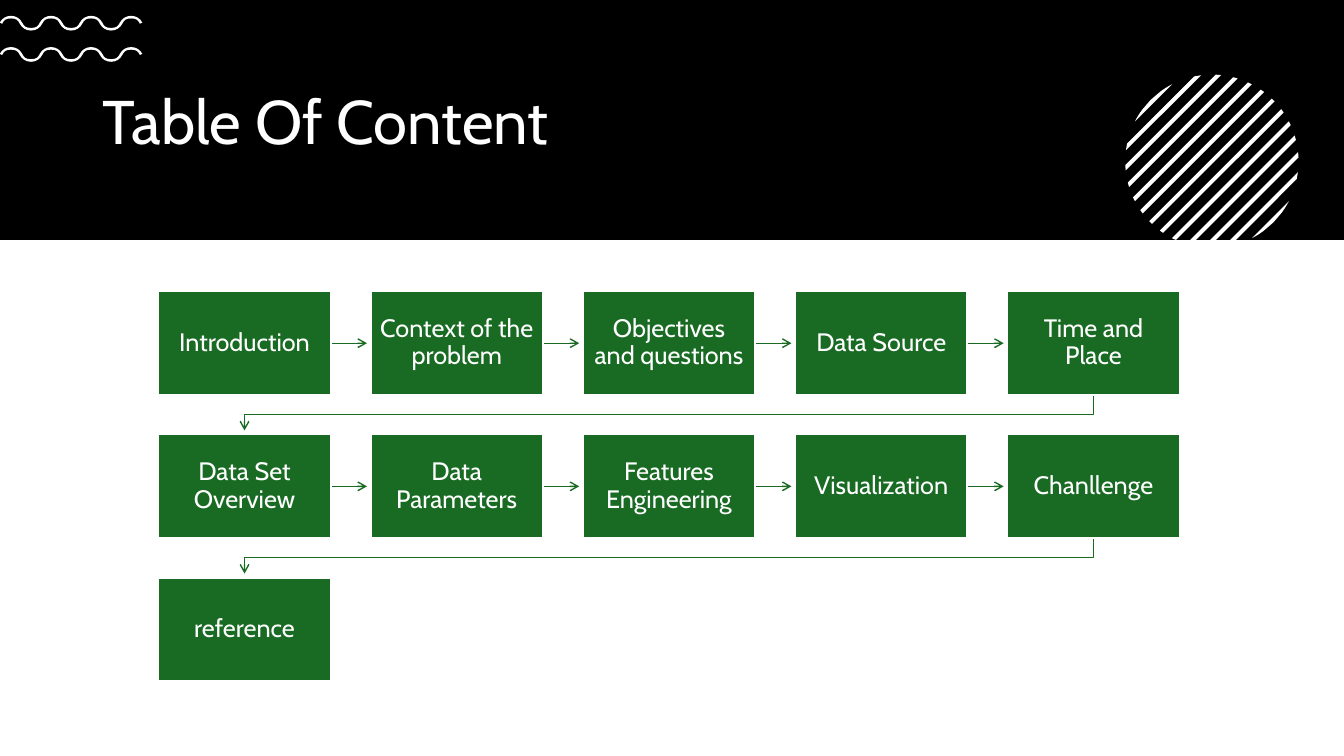
import math

import pptx
import pptx.dml.color
import pptx.enum.shapes
import pptx.enum.text
import pptx.oxml
import pptx.oxml.ns
import pptx.util

Inches = pptx.util.Inches
Pt = pptx.util.Pt
COLOURS = {
    name: pptx.dml.color.RGBColor.from_string(value)
    for name, value in {"black": "000000", "white": "FFFFFF", "green": "196B24"}.items()
}
RECTANGLE = pptx.enum.shapes.MSO_SHAPE.RECTANGLE
MIDDLE = pptx.enum.text.MSO_ANCHOR.MIDDLE
NAMESPACE = pptx.oxml.ns.nsdecls("a")

deck = pptx.Presentation()
deck.slide_width = Inches(13.33)
deck.slide_height = Inches(7.5)
page = deck.slides.add_slide(deck.slide_layouts[6])


def draw_outline(points, closed=True):
    corners = [(Inches(x), Inches(y)) for x, y in points]
    builder = page.shapes.build_freeform(*corners[0])
    builder.add_line_segments(corners[1:], close=closed)
    outline = builder.convert_to_shape()
    outline.shadow.inherit = False
    if closed:
        outline.fill.solid()
        outline.fill.fore_color.rgb = COLOURS["white"]
        outline.line.fill.background()
    else:
        outline.fill.background()
    return outline


def style_arrow(arrow):
    arrow.line.color.rgb = COLOURS["green"]
    arrow.line.width = Pt(1)
    arrow_line = arrow.line._get_or_add_ln()
    arrow_line.append(pptx.oxml.parse_xml(f'<a:tailEnd {NAMESPACE} type="arrow"/>'))


band_height = 2.38
band = page.shapes.add_shape(RECTANGLE, 0, 0, deck.slide_width, Inches(band_height))
band.shadow.inherit = False
band.fill.solid()
band.fill.fore_color.rgb = COLOURS["black"]
band.line.fill.background()

title = page.shapes.add_textbox(Inches(0.92), Inches(0.62), Inches(11.5), Inches(1.23))
title.text_frame.word_wrap = True
title.text_frame.vertical_anchor = MIDDLE
para = title.text_frame.paragraphs[0]
para.text = "Table Of Content"
para.line_spacing = 0.9
para.font.size = Pt(44)
para.font.name = "Cabin"
para.font.color.rgb = COLOURS["white"]

wave_arcs = 14
wave_height = 0.06
half_width = 0.013
wave_tangents = [(0.02, -0.04), (0.05, 0), (0.02, 0.04), (0.05, 0)]
for wave_middle in (0.54, 0.23):
    edges = []
    for side in (1, -1):
        edge = []
        for node in range(wave_arcs + 1):
            run, rise = wave_tangents[node % 4]
            length = math.hypot(run, rise)
            x = 0.01 + 1.39 * node / wave_arcs + side * half_width * rise / length
            y = wave_middle - wave_height * (0, 1, 0, -1)[node % 4]
            y -= side * half_width * run / length
            edge += [(x - run, y - rise), (x, y), (x + run, y + rise)]
        edges.append(edge[1:-1])
    wave = draw_outline(edges[0] + edges[1][::-1])
    segments = wave._element.findall(".//" + pptx.oxml.ns.qn("a:lnTo"))
    edge_segments = 3 * wave_arcs
    for edge_start in (0, edge_segments + 1):
        for start in range(edge_start, edge_start + edge_segments, 3):
            curve = pptx.oxml.parse_xml(f"<a:cubicBezTo {NAMESPACE}/>")
            segments[start].addprevious(curve)
            for segment in segments[start:start + 3]:
                curve.append(segment[0])
                segment.getparent().remove(segment)

centre_x, centre_y, radius = 12.02, 1.6, 0.86
stripe_gap, stripe_width = 0.14, 0.04
for stripe in range(-6, 7):
    upper_end, lower_end = [], []
    stripe_steps = 4 if abs(stripe) == 6 else 1
    for step in range(stripe_steps + 1):
        offset = stripe * stripe_gap + stripe_width * (step / stripe_steps - 0.5)
        offset = max(-radius, min(radius, offset))
        half_chord = math.sqrt(radius**2 - offset**2)
        right = centre_x + (offset + half_chord) / math.sqrt(2)
        top = centre_y + (offset - half_chord) / math.sqrt(2)
        bottom = min(band_height, centre_y + (offset + half_chord) / math.sqrt(2))
        upper_end.append((right, top))
        lower_end.append((right + top - bottom, bottom))
    draw_outline(upper_end + lower_end[::-1])

topics = [
    "Introduction",
    "Context of the problem",
    "Objectives and questions",
    "Data Source",
    "Time and Place",
    "Data Set Overview",
    "Data Parameters",
    "Features Engineering",
    "Visualization",
    "Chanllenge",
    "reference",
]
columns = 5
first_left, last_left, first_top = 1.57, 9.99, 2.89
box_width, box_height = 1.71, 1.03
column_step = (last_left - first_left) / (columns - 1)
row_step = 1.42
first_middle = first_left + box_width / 2

for index, topic in enumerate(topics):
    row, column = divmod(index, columns)
    left = first_left + column * column_step
    top = first_top + row * row_step
    right, bottom = left + box_width, top + box_height
    arrow = None
    if column == columns - 1:
        box_middle = left + box_width / 2
        turn = bottom + 0.19
        style_arrow(draw_outline([
            (box_middle, bottom),
            (box_middle, turn),
            (first_middle, turn),
            (first_middle, bottom + 0.35),
        ], closed=False))
    elif index < len(topics) - 1:
        level = Inches(top + box_height / 2)
        arrow = page.shapes.add_connector(
            pptx.enum.shapes.MSO_CONNECTOR.STRAIGHT,
            Inches(right), level, Inches(right + 0.36), level,
        )
        style_arrow(arrow)
        arrow._element.spPr.append(pptx.oxml.parse_xml(f"<a:effectLst {NAMESPACE}/>"))

    box = page.shapes.add_shape(
        RECTANGLE, Inches(left), Inches(top), Inches(box_width), Inches(box_height)
    )
    box.shadow.inherit = False
    box.fill.solid()
    box.fill.fore_color.rgb = COLOURS["green"]
    box.line.color.rgb = COLOURS["white"]
    box.line.width = Pt(1.5)
    if arrow is not None:
        arrow.begin_connect(box, 3)

    frame = box.text_frame
    frame.word_wrap = True
    frame.vertical_anchor = MIDDLE
    frame.margin_left = frame.margin_right = Inches(0.08)
    frame.margin_top = frame.margin_bottom = Inches(0.09)
    para = frame.paragraphs[0]
    para.text = topic
    para.alignment = pptx.enum.text.PP_ALIGN.CENTER
    para.line_spacing = 0.9
    para.font.size = Pt(18)
    para.font.name = "Cabin"
    para.font.color.rgb = COLOURS["white"]

deck.save("out.pptx")
